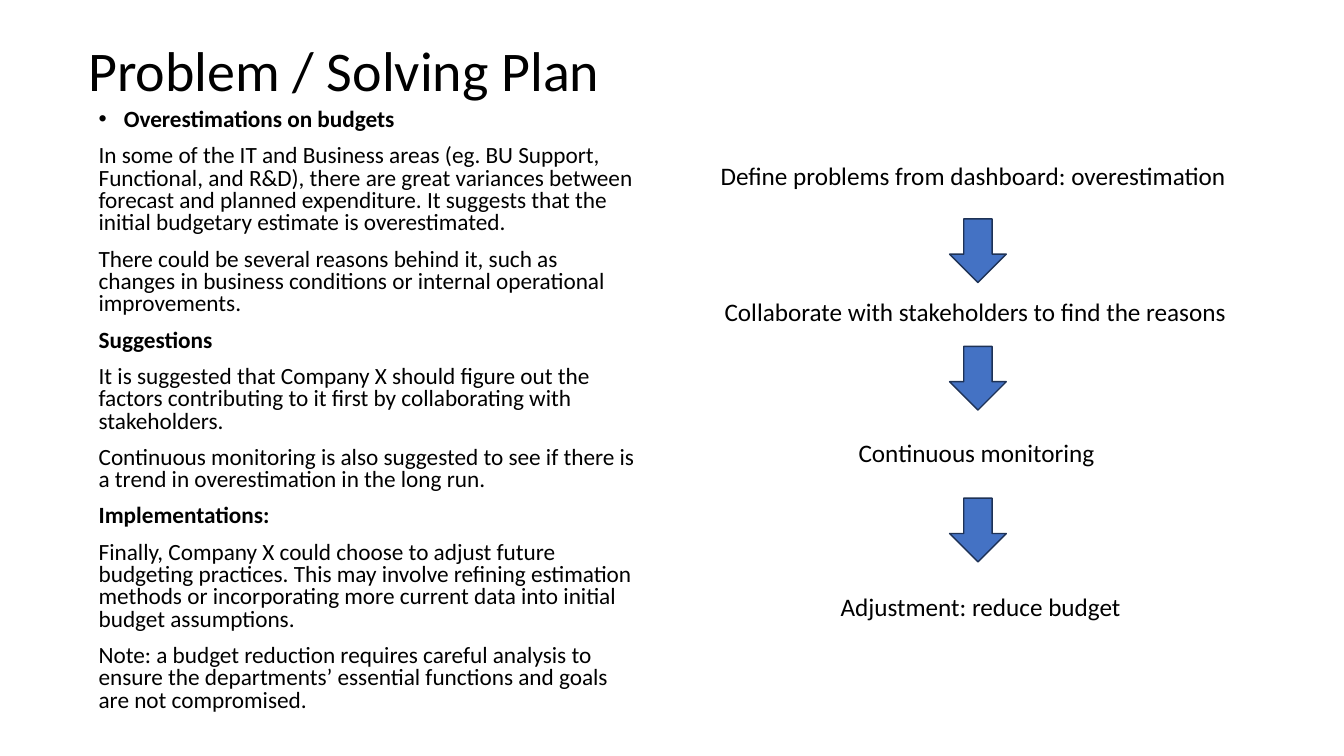
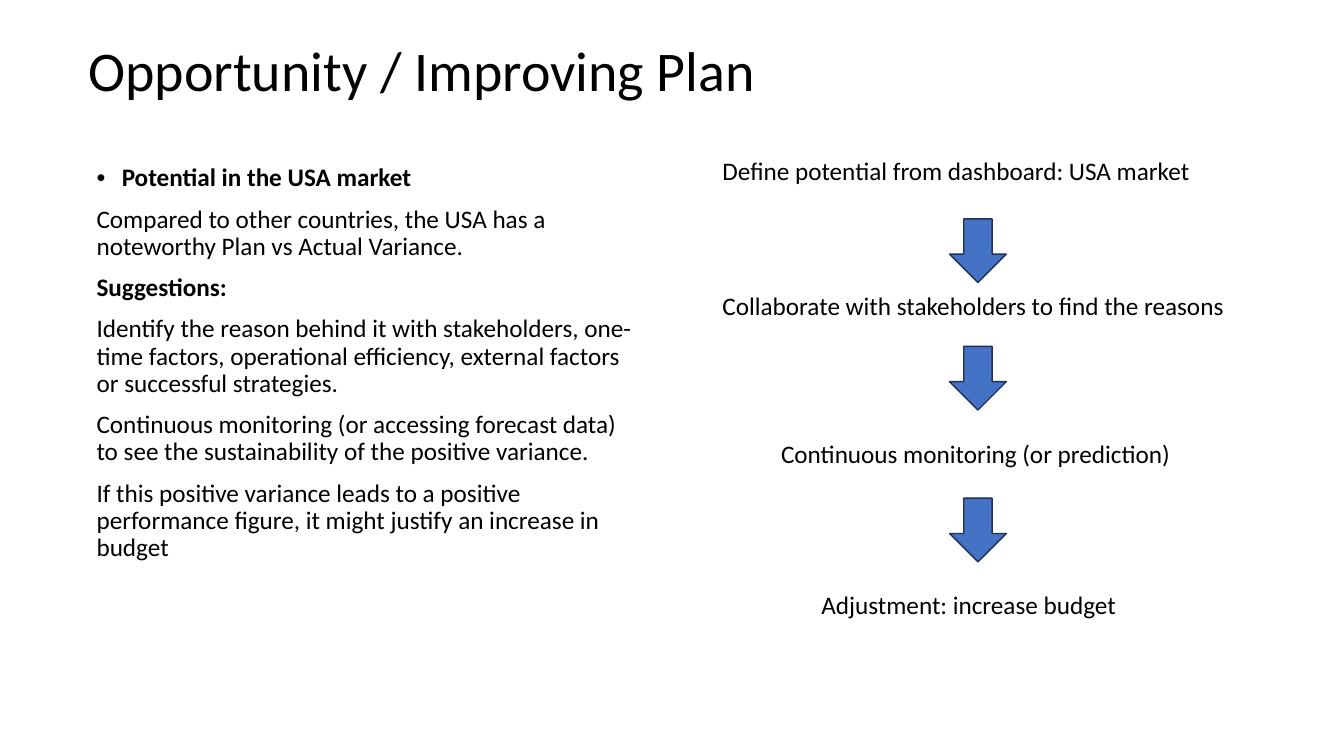
import pptx
import pptx.dml.color
import pptx.enum.shapes
import pptx.enum.text
import pptx.util
import lxml.etree

Pt = pptx.util.Pt
FONT = "Calibri"
BLACK, BLUE, NAVY = "000000", "4472C4", "1E3256"
SLIDE_SIZE = (960, 540)
TITLE_FRAME = (56, 0, 828, 104.4)
TITLE_SIZE, STEP_SIZE = 40, 18
STEP_HEIGHT = 29
ARROW_LEFT, ARROW_WIDTH, ARROW_HEIGHT = 678.3, 40.5, 45.5
ARROW_TOPS = (156.3, 247.4, 355.8)
BULLET_INDENT = 18

# Body entries are (style, text); steps are (left, top, width, text).
SLIDES = [
    {
        "title": "Problem / Solving Plan",
        "frame": (63.4, 74.9, 398.2, 473.8),
        "size": 16.6,
        "spacing": 0.8,
        "body": [
            ("bullet", "Overestimations on budgets"),
            ("text", "In some of the IT and Business areas (eg. BU Support, Functional, "
                     "and R&D), there are great variances between forecast and planned "
                     "expenditure. It suggests that the initial budgetary estimate is "
                     "overestimated."),
            ("text", "There could be several reasons behind it, such as changes in "
                     "business conditions or internal operational improvements."),
            ("heading", "Suggestions"),
            ("text", "It is suggested that Company X should figure out the factors "
                     "contributing to it first by collaborating with stakeholders."),
            ("text", "Continuous monitoring is also suggested to see if there is a "
                     "trend in overestimation in the long run."),
            ("heading", "Implementations:"),
            ("text", "Finally, Company X could choose to adjust future budgeting "
                     "practices. This may involve refining estimation methods or "
                     "incorporating more current data into initial budget assumptions."),
            ("text", "Note: a budget reduction requires careful analysis to ensure the "
                     "departments\u2019 essential functions and goals are not compromised."),
        ],
        "steps": [
            (507.6, 110.9, 389.5, "Define problems from dashboard: overestimation"),
            (510.5, 208, 376.6, "Collaborate with stakeholders to find the reasons"),
            (606.2, 309, 185, "Continuous monitoring"),
            (593.3, 418.6, 217.4, "Adjustment: reduce budget"),
        ],
    },
    {
        "title": "Opportunity / Improving Plan",
        "frame": (61.9, 114.5, 398.2, 345.6),
        "size": 18,
        "spacing": 0.9,
        "body": [
            ("bullet", "Potential in the USA market"),
            ("text", "Compared to other countries, the USA has a noteworthy Plan vs "
                     "Actual Variance."),
            ("heading", "Suggestions:"),
            ("text", "Identify the reason behind it with stakeholders, one-time factors, "
                     "operational efficiency, external factors or successful strategies."),
            ("text", "Continuous monitoring (or accessing forecast data) to see the "
                     "sustainability of the positive variance."),
            ("text", "If this positive variance leads to a positive performance figure, "
                     "it might justify an increase in budget"),
        ],
        "steps": [
            (509, 107.3, 352.1, "Define potential from dashboard: USA market"),
            (509, 203.8, 376.6, "Collaborate with stakeholders to find the reasons"),
            (550.8, 309.6, 295.9, "Continuous monitoring (or prediction)"),
            (579.6, 417.6, 236.2, "Adjustment: increase budget"),
        ],
    },
]


def color(hex_code):
    """Turn a hex string into a colour."""
    return pptx.dml.color.RGBColor.from_string(hex_code)


def add_box(page, frame, wrap=True):
    """Add an empty text box and return it."""
    box = page.shapes.add_textbox(*map(Pt, frame))
    box.text_frame.word_wrap = wrap
    return box


def add_span(para, text, size, bold=False):
    """Add one run of black text to a paragraph."""
    span = para.add_run()
    span.text = text
    span.font.name = FONT
    span.font.size = Pt(size)
    span.font.bold = bold
    span.font.color.rgb = color(BLACK)


def add_bullet(para):
    """Give a paragraph a round bullet with a hanging indent."""
    properties = para._p.get_or_add_pPr()
    properties.set("marL", str(Pt(BULLET_INDENT)))
    properties.set("indent", str(-Pt(BULLET_INDENT)))
    tag = pptx.oxml.ns.qn
    lxml.etree.SubElement(properties, tag("a:buFont"), typeface="Arial")
    lxml.etree.SubElement(properties, tag("a:buChar"), char="\u2022")


def add_title(page, text):
    """Add the slide title, centred vertically in its frame."""
    box = add_box(page, TITLE_FRAME)
    box.text_frame.vertical_anchor = pptx.enum.text.MSO_ANCHOR.MIDDLE
    para = box.text_frame.paragraphs[0]
    para.line_spacing = 0.9
    add_span(para, text, TITLE_SIZE)


def add_body(page, content):
    """Add the column of explanation on the left."""
    frame = add_box(page, content["frame"]).text_frame
    for index, (style, text) in enumerate(content["body"]):
        para = frame.add_paragraph() if index else frame.paragraphs[0]
        para.line_spacing = content["spacing"]
        para.space_before = Pt(10)
        if style == "bullet":
            add_bullet(para)
        add_span(para, text, content["size"], bold=style != "text")


def add_step(page, left, top, width, text):
    """Add the label of one step in the flow."""
    box = add_box(page, (left, top, width, STEP_HEIGHT), wrap=False)
    box.text_frame.auto_size = pptx.enum.text.MSO_AUTO_SIZE.SHAPE_TO_FIT_TEXT
    add_span(box.text_frame.paragraphs[0], text, STEP_SIZE)


def add_arrow(page, top):
    """Add a down arrow between two steps."""
    arrow = page.shapes.add_shape(
        pptx.enum.shapes.MSO_SHAPE.DOWN_ARROW,
        *map(Pt, (ARROW_LEFT, top, ARROW_WIDTH, ARROW_HEIGHT)))
    arrow.shadow.inherit = False
    arrow.fill.solid()
    arrow.fill.fore_color.rgb = color(BLUE)
    arrow.line.color.rgb = color(NAVY)
    arrow.line.width = Pt(1)


deck = pptx.Presentation()
deck.slide_width, deck.slide_height = map(Pt, SLIDE_SIZE)
for content in SLIDES:
    page = deck.slides.add_slide(deck.slide_layouts[6])
    add_title(page, content["title"])
    add_body(page, content)
    for step in content["steps"]:
        add_step(page, *step)
    for top in ARROW_TOPS:
        add_arrow(page, top)
deck.save("out.pptx")
